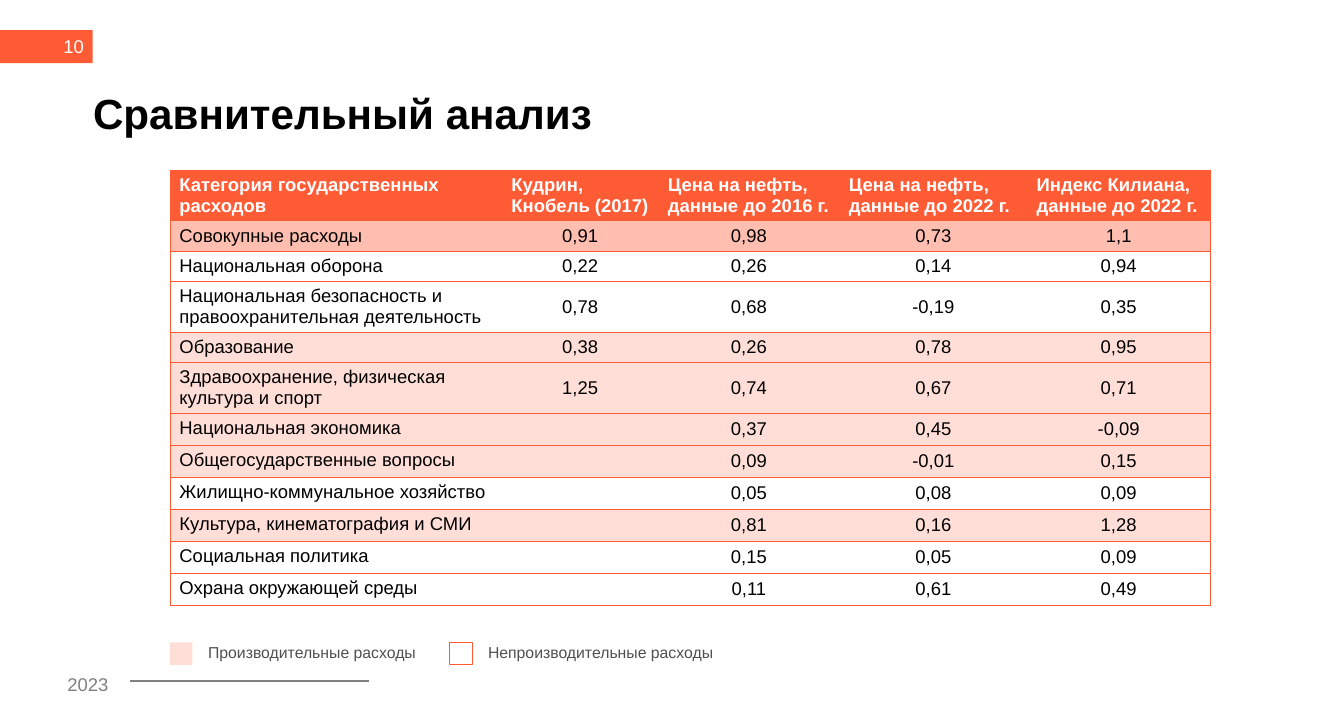
from lxml.etree import SubElement
from pptx import Presentation
from pptx.dml.color import RGBColor
from pptx.enum.shapes import MSO_CONNECTOR as Connector, MSO_SHAPE as Shape
from pptx.enum.text import MSO_ANCHOR as Anchor, MSO_AUTO_SIZE as AutoSize, PP_ALIGN as Align
from pptx.oxml.ns import qn
from pptx.util import Pt

# Content
TITLE = "Сравнительный анализ"
PAGE = "10"
YEAR = "2023"
ORANGE, SALMON, PINK, WHITE = "FF5C36", "FFBEAF", "FFDED7", "FFFFFF"
BLACK, GRAY, DARK_GRAY = "000000", "808080", "505050"
FONT = "Arial"

HEADER = ["Категория государственных расходов", "Кудрин, Кнобель (2017)",
          "Цена на нефть, данные до 2016 г.", "Цена на нефть, данные до 2022 г.",
          "Индекс Килиана, данные до 2022 г."]
# Row fill, then the category and its four values
SPENDING = [
    (SALMON, "Совокупные расходы", "0,91", "0,98", "0,73", "1,1"),
    (WHITE, "Национальная оборона", "0,22", "0,26", "0,14", "0,94"),
    (WHITE, "Национальная безопасность и правоохранительная деятельность",
     "0,78", "0,68", "-0,19", "0,35"),
    (PINK, "Образование", "0,38", "0,26", "0,78", "0,95"),
    (PINK, "Здравоохранение, физическая культура и спорт", "1,25", "0,74", "0,67", "0,71"),
    (PINK, "Национальная экономика", "", "0,37", "0,45", "-0,09"),
    (PINK, "Общегосударственные вопросы", "", "0,09", "-0,01", "0,15"),
    (WHITE, "Жилищно-коммунальное хозяйство", "", "0,05", "0,08", "0,09"),
    (PINK, "Культура, кинематография и СМИ", "", "0,81", "0,16", "1,28"),
    (WHITE, "Социальная политика", "", "0,15", "0,05", "0,09"),
    (WHITE, "Охрана окружающей среды", "", "0,11", "0,61", "0,49"),
]
LEGEND = [("Производительные расходы", PINK, None),
          ("Непроизводительные расходы", WHITE, ORANGE)]

# Layout, in points
TABLE_LEFT, TABLE_TOP = 129, 129
COLUMN_WIDTHS = [252, 118.8, 137.5, 142.5, 138.9]
ONE_LINE, TWO_LINES = 22.9, 38.5
LINE_CHARS = 32
LEGEND_TOP, LEGEND_STEP, SWATCH, LABEL_OFFSET = 488, 212.5, 17, 29
NO_GRID_STYLE = "{2D5ABB26-0587-4C30-8999-92F81FD0307C}"


def color(code):
    return RGBColor.from_string(code)


def write(frame, text, size, ink, bold=False, align=Align.LEFT):
    paragraph = frame.paragraphs[0]
    paragraph.alignment = align
    run = paragraph.add_run()
    run.text = text
    run.font.name, run.font.size, run.font.bold = FONT, Pt(size), bold
    run.font.color.rgb = color(ink)
    return paragraph


def set_insets(frame, inset):
    frame.margin_left = frame.margin_right = Pt(inset)
    frame.margin_top = frame.margin_bottom = Pt(inset)


def add_text(slide, box, text, size, ink, inset=0):
    frame = slide.shapes.add_textbox(*map(Pt, box)).text_frame
    frame.word_wrap = True
    set_insets(frame, inset)
    write(frame, text, size, ink)


def add_rect(slide, box, fill, line=None):
    rect = slide.shapes.add_shape(Shape.RECTANGLE, *map(Pt, box))
    rect.shadow.inherit = False
    rect.fill.solid()
    rect.fill.fore_color.rgb = color(fill)
    if line:
        rect.line.color.rgb = color(line)
        rect.line.width = Pt(1)
    else:
        rect.line.fill.background()
    return rect


def add_borders(cell, sides):
    properties = cell._tc.get_or_add_tcPr()
    for side in sides:
        border = SubElement(properties, qn(f"a:ln{side}"), w=str(Pt(0.5)))
        fill = SubElement(border, qn("a:solidFill"))
        SubElement(fill, qn("a:srgbClr"), val=ORANGE)


def fill_cell(cell, text, fill, sides, is_header, is_category):
    add_borders(cell, sides)
    cell.fill.solid()
    cell.fill.fore_color.rgb = color(fill)
    top_left = is_header or is_category
    cell.vertical_anchor = Anchor.TOP if top_left else Anchor.MIDDLE
    if text:
        write(cell.text_frame, text, 14, WHITE if is_header else BLACK, is_header,
              Align.LEFT if top_left else Align.CENTER)
    else:
        # Keep an empty cell as low as the text rows
        SubElement(cell.text_frame.paragraphs[0]._p, qn("a:endParaRPr"), sz="1400")


def add_spending_table(slide):
    rows = [(ORANGE, *HEADER), *SPENDING]
    heights = [TWO_LINES if len(row[1]) > LINE_CHARS else ONE_LINE for row in rows]
    frame = slide.shapes.add_table(len(rows), len(HEADER), Pt(TABLE_LEFT), Pt(TABLE_TOP),
                                   Pt(sum(COLUMN_WIDTHS)), Pt(sum(heights)))
    table = frame.table
    table.first_row = table.horz_banding = False
    table._tbl.tblPr.find(qn("a:tableStyleId")).text = NO_GRID_STYLE
    for column, width in zip(table.columns, COLUMN_WIDTHS):
        column.width = Pt(width)
    last = len(HEADER) - 1
    for r, (fill, *texts) in enumerate(rows):
        table.rows[r].height = Pt(heights[r])
        for c, text in enumerate(texts):
            sides = ["L"] * (c == 0) + ["R"] * (c == last) + ["T", "B"]
            fill_cell(table.cell(r, c), text, fill, sides, r == 0, c == 0)


def main():
    deck = Presentation()
    deck.slide_width, deck.slide_height = Pt(1020.24), Pt(538.56)
    slide = deck.slides.add_slide(deck.slide_layouts[5])

    # Title
    title = slide.shapes.title
    title.left, title.top, title.width, title.height = map(Pt, (70.6, 70.6, 754, 56))
    heading = title.text_frame
    heading.auto_size = AutoSize.NONE
    heading.word_wrap = True
    heading.vertical_anchor = Anchor.TOP
    set_insets(heading, 0)
    write(heading, TITLE, 32, BLACK, True).line_spacing = 0.9

    # Page number
    badge = add_rect(slide, (0, 22.8, 70.3, 25.2), ORANGE).text_frame
    badge.margin_right = Pt(6.5)
    badge.vertical_anchor = Anchor.MIDDLE
    write(badge, PAGE, 14, WHITE, align=Align.RIGHT)

    # Table
    add_spending_table(slide)

    # Legend
    for i, (label, fill, line) in enumerate(LEGEND):
        left = TABLE_LEFT + i * LEGEND_STEP
        add_rect(slide, (left, LEGEND_TOP, SWATCH, SWATCH), fill, line)
        add_text(slide, (left + LABEL_OFFSET, LEGEND_TOP, 175, SWATCH), label, 12, DARK_GRAY)

    # Footer
    add_text(slide, (47.5, 508, 48, 24), YEAR, 14, GRAY, inset=3.6)
    rule = slide.shapes.add_connector(Connector.STRAIGHT, Pt(99), Pt(517.5), Pt(280.5), Pt(517.5))
    rule.line.color.rgb = color(GRAY)
    rule.line.width = Pt(1.5)
    SubElement(rule._element.spPr, qn("a:effectLst"))

    deck.save("out.pptx")


if __name__ == "__main__":
    main()
